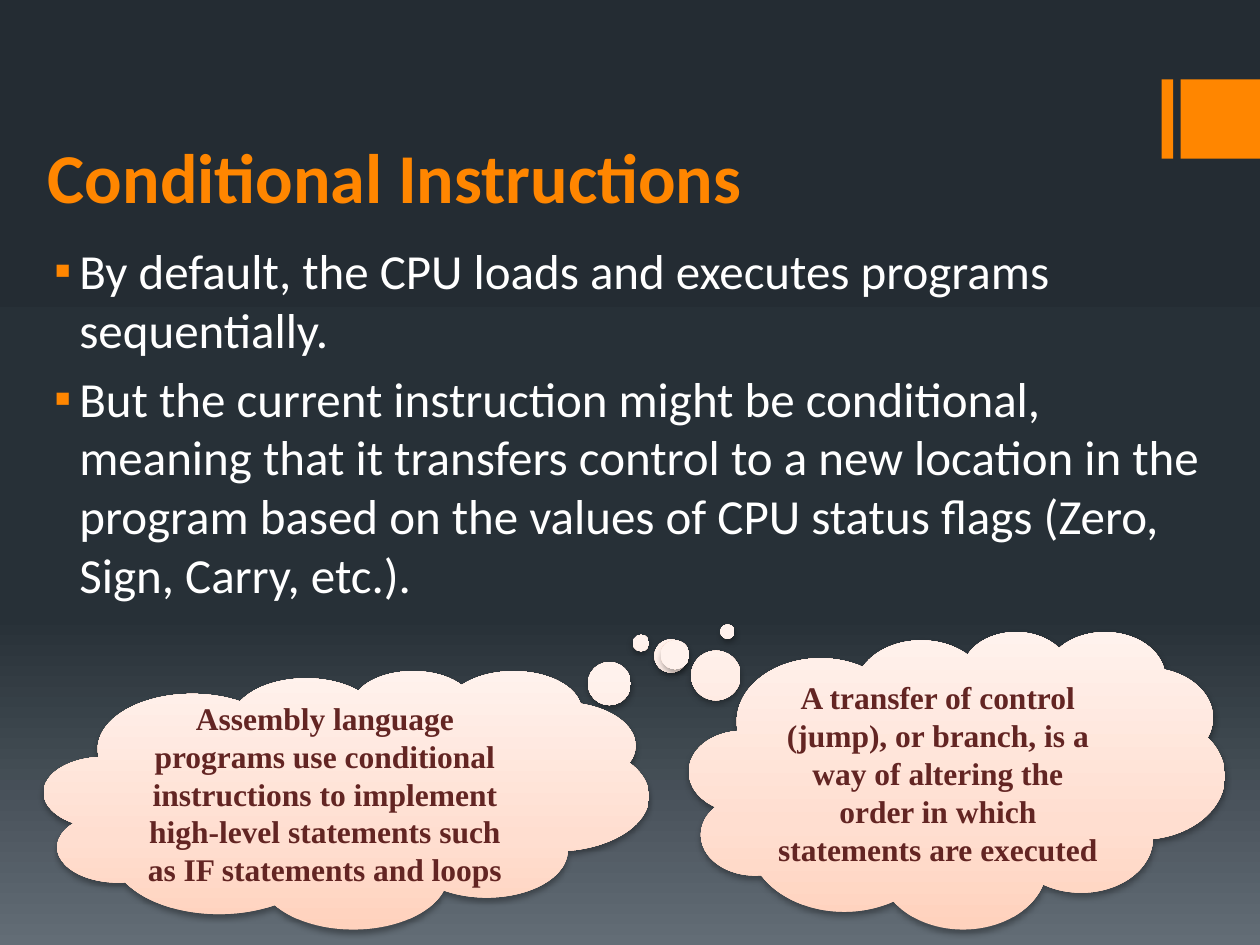
"""Build the Conditional Instructions slide."""
from lxml import etree
from pptx import Presentation
from pptx import util as u
from pptx.dml.color import RGBColor
from pptx.enum import shapes, text
from pptx.oxml import ns

COLORS = {"accent": "FF8600", "body": "FFFFFF", "cloud": "632523", "shadow": "000000"}
BACKGROUND = [(0, "242C33"), (65, "273037"), (100, "636D76")]
CLOUD = [(0, "FFD2BD"), (35, "FFDED0"), (100, "FFF2ED")]


def add(parent, tag, **attrs):
    return etree.SubElement(parent, ns.qn(tag), {k: str(v) for k, v in attrs.items()})


def set_gradient(fill, element, stops, angle):
    fill.gradient()
    grad = element.find(".//" + ns.qn("a:gradFill"))
    stop_list = grad.find(ns.qn("a:gsLst"))
    for stop in list(stop_list):
        stop_list.remove(stop)
    for position, color in stops:
        add(add(stop_list, "a:gs", pos=position * 1000), "a:srgbClr", val=color)
    grad.find(ns.qn("a:lin")).set("ang", str(angle * 60000))


prs = Presentation()
prs.slide_width, prs.slide_height = u.Inches(10), u.Inches(7.5)
s = prs.slides.add_slide(prs.slide_layouts[1])
set_gradient(s.background.fill, s.element, BACKGROUND, 90)

for left, width in [(9.22, 0.09), (9.37, 0.63)]:
    bar = s.shapes.add_shape(shapes.MSO_SHAPE.RECTANGLE, u.Inches(left), u.Inches(0.63),
                             u.Inches(width), u.Inches(0.63))
    bar.shadow.inherit = False
    bar.fill.solid()
    bar.fill.fore_color.rgb = RGBColor.from_string(COLORS["accent"])
    bar.line.fill.background()

title, body = s.shapes.title, s.placeholders[1]
for sp, box in [(title, (0.28, 0.52, 8.79, 1.26)), (body, (0.28, 1.86, 9.53, 5.28))]:
    sp.left, sp.top, sp.width, sp.height = map(u.Inches, box)
    sp.text_frame.auto_size = text.MSO_AUTO_SIZE.NONE

title.text_frame.text = "Conditional Instructions"
title.text_frame.vertical_anchor = text.MSO_ANCHOR.BOTTOM
p = title.text_frame.paragraphs[0]
p.alignment = text.PP_ALIGN.LEFT
p.font.name, p.font.size, p.font.bold = "Calibri", u.Pt(40), True
p.font.color.rgb = RGBColor.from_string(COLORS["accent"])

body.text_frame.text = (
    "By default, the CPU loads and executes programs sequentially.\n"
    "But the current instruction might be conditional, meaning that it transfers control "
    "to a new location in the program based on the values of CPU status flags "
    "(Zero, Sign, Carry, etc.).")
for p in body.text_frame.paragraphs:
    pPr = p._p.get_or_add_pPr()
    pPr.set("marL", str(u.Inches(0.25)))
    pPr.set("indent", str(u.Inches(-0.2)))
    add(add(pPr, "a:buClr"), "a:srgbClr", val=COLORS["accent"])
    add(pPr, "a:buFont", typeface="Arial")
    add(pPr, "a:buChar", char="▪")
    p.font.name, p.font.size = "Calibri", u.Pt(28)
    p.font.color.rgb = RGBColor.from_string(COLORS["body"])

clouds = [
    ((5.47, 5.01, 4.25, 2.36), (-0.59, -0.46),
     "A transfer of control (jump), or branch, is a way of altering the order in which "
     "statements are executed"),
    ((0.35, 5.32, 4.8, 2.05), (0.63, -0.65),
     "Assembly language programs use conditional instructions to implement high-level "
     "statements such as IF statements and loops"),
]
for box, tail, words in clouds:
    cloud = s.shapes.add_shape(shapes.MSO_SHAPE.CLOUD_CALLOUT, *map(u.Inches, box))
    cloud.adjustments[0], cloud.adjustments[1] = tail
    set_gradient(cloud.fill, cloud._element.spPr, CLOUD, 270)
    cloud.line.fill.background()
    cloud.shadow.inherit = False
    effects = cloud._element.spPr.find(ns.qn("a:effectLst"))
    shadow = add(effects, "a:outerShdw", blurRad=u.Pt(3.5), dist=u.Pt(2.2),
                 dir=90 * 60000, rotWithShape=0)
    add(add(shadow, "a:srgbClr", val=COLORS["shadow"]), "a:alpha", val=32000)
    tf = cloud.text_frame
    tf.text = words
    tf.word_wrap = True
    tf.vertical_anchor = text.MSO_ANCHOR.MIDDLE
    p = tf.paragraphs[0]
    p.alignment = text.PP_ALIGN.CENTER
    p.font.name, p.font.size, p.font.bold = "Times New Roman", u.Pt(18), True
    p.font.color.rgb = RGBColor.from_string(COLORS["cloud"])

prs.save("out.pptx")
